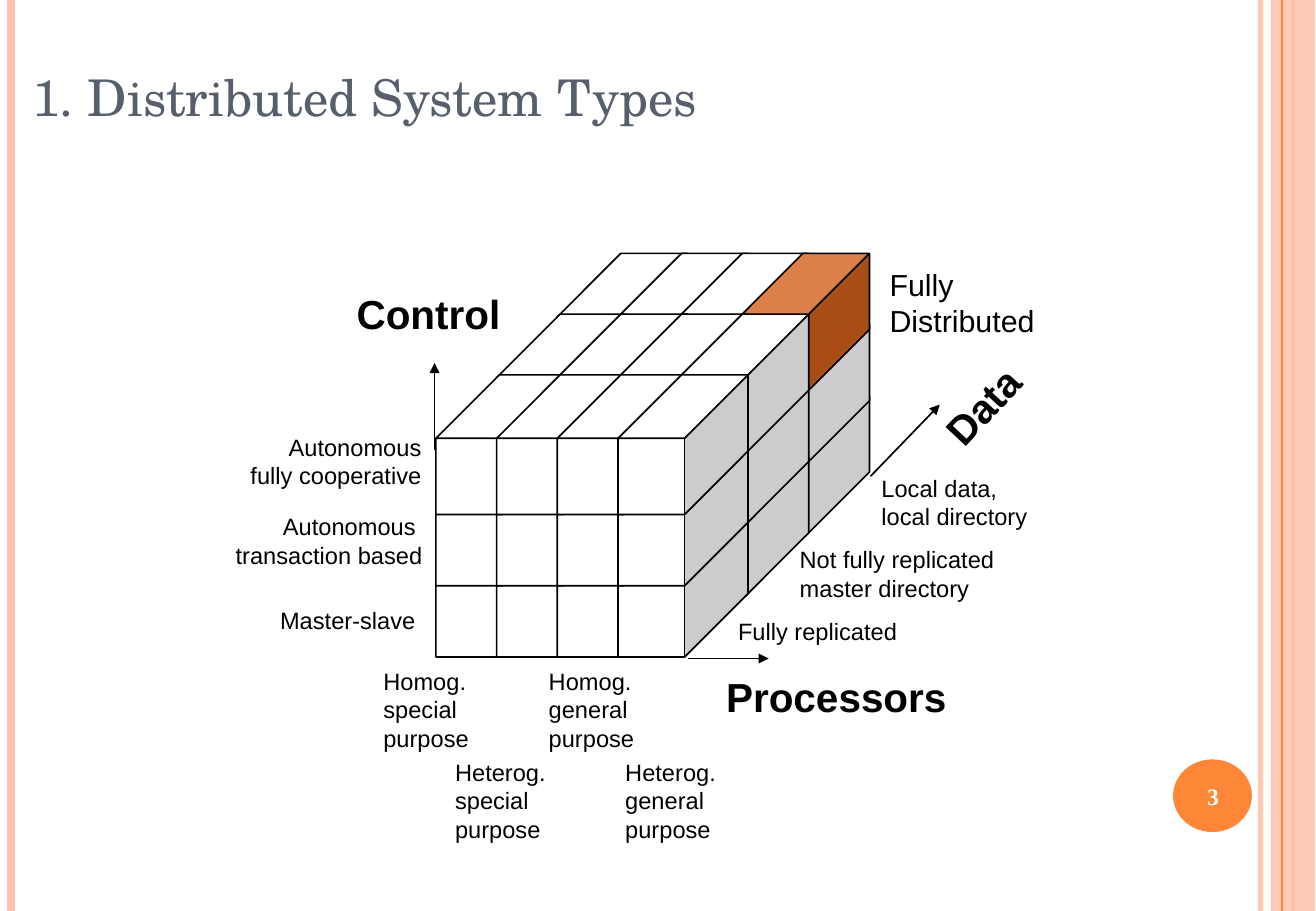
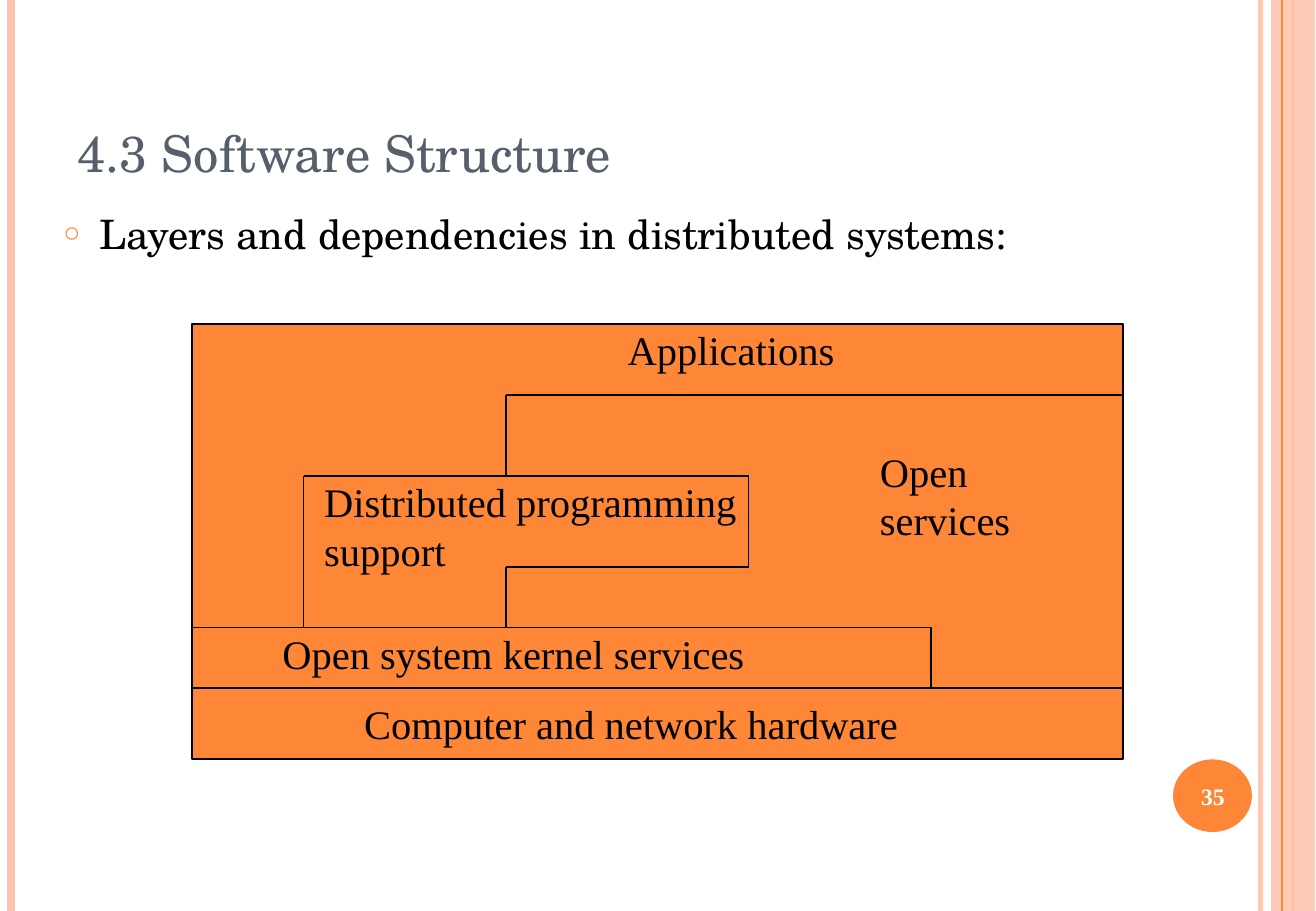
from lxml import etree
from pptx import Presentation
from pptx.dml.color import RGBColor
from pptx.enum.shapes import MSO_CONNECTOR, MSO_SHAPE
from pptx.enum.text import MSO_ANCHOR, MSO_AUTO_SIZE, PP_ALIGN
from pptx.oxml.ns import qn
from pptx.util import Cm, Pt

STRAIGHT = MSO_CONNECTOR.STRAIGHT
RECTANGLE, OVAL, CUBE = MSO_SHAPE.RECTANGLE, MSO_SHAPE.OVAL, MSO_SHAPE.CUBE
LEFT, CENTER, RIGHT = PP_ALIGN.LEFT, PP_ALIGN.CENTER, PP_ALIGN.RIGHT
TOP, MIDDLE, BOTTOM = MSO_ANCHOR.TOP, MSO_ANCHOR.MIDDLE, MSO_ANCHOR.BOTTOM
NO_AUTOFIT = MSO_AUTO_SIZE.NONE

ORANGE = RGBColor(0xFE, 0x86, 0x37)
PEACH = RGBColor(0xFE, 0xC3, 0xAE)
RUST = RGBColor(0xD2, 0x61, 0x1C)
SLATE = RGBColor(0x57, 0x5F, 0x6D)
BLACK = RGBColor(0, 0, 0)
WHITE = RGBColor(0xFF, 0xFF, 0xFF)

SCHOOLBOOK = "TeX Gyre Schola"
SANS = "Arial"
ROMAN = "Times New Roman"
WIDTH, HEIGHT = 27.53, 19.05


def write(box, text, font=SANS, size=14, color=BLACK, bold=False,
          align=LEFT, anchor=TOP, wrap=False):
    frame = box.text_frame
    frame.word_wrap = wrap
    frame.auto_size = NO_AUTOFIT
    frame.vertical_anchor = anchor
    frame.text = text
    for para in frame.paragraphs:
        para.alignment = align
        for span in para.runs:
            span.font.name = font
            span.font.size = Pt(size)
            span.font.bold = bold
            span.font.color.rgb = color


def draw_line(page, start, end, color=BLACK, width=1, arrow=False):
    line = page.shapes.add_connector(STRAIGHT, *map(Cm, start + end))
    line.line.color.rgb = color
    line.line.width = Pt(width)
    if arrow:
        etree.SubElement(line.line._get_or_add_ln(), qn("a:tailEnd"), type="triangle")
    etree.SubElement(line.element.spPr, qn("a:effectLst"))
    return line


deck = Presentation()
deck.slide_width, deck.slide_height = Cm(WIDTH), Cm(HEIGHT)
types_page = deck.slides.add_slide(deck.slide_layouts[5])
structure_page = deck.slides.add_slide(deck.slide_layouts[1])

bands = [
    draw_line(types_page, (x, 0), (x, HEIGHT), color, width)
    for x, color, width in [
        (26.37, PEACH, 3), (0.23, PEACH, 4.5), (27.05, ORANGE, 1.5), (26.82, ORANGE, 0.75)]
]
side_band = types_page.shapes.add_shape(RECTANGLE, Cm(26.59), 0, Cm(0.92), Cm(HEIGHT))
number_disc = types_page.shapes.add_shape(OVAL, Cm(24.54), Cm(15.88), Cm(1.65), Cm(1.52))
for shape, color in [(side_band, PEACH), (number_disc, ORANGE)]:
    shape.shadow.inherit = False
    shape.fill.solid()
    shape.fill.fore_color.rgb = color
    shape.line.fill.background()
for band, opacity in [(bands[0], 93), (side_band, 87)]:
    tint = next(band.element.spPr.iter(qn("a:srgbClr")))
    etree.SubElement(tint, qn("a:alpha"), val=str(opacity * 1000))
for shape in bands[:3] + [side_band, bands[3], number_disc]:
    deck.slide_master.shapes.element.append(shape.element)

for page, title, place, number in [
    (types_page, "1. Distributed System Types", (0.43, 1.07, 26.87, 1.7), "3"),
    (structure_page, "4.3 Software Structure", (1.37, 0.76, 22.48, 3.18), "35"),
]:
    heading = page.shapes.title
    heading.left, heading.top, heading.width, heading.height = map(Cm, place)
    write(heading, title, font=SCHOOLBOOK, size=30, color=SLATE, anchor=BOTTOM, wrap=True)
    number_box = page.shapes.add_textbox(Cm(24.46), Cm(15.93), Cm(1.83), Cm(1.45))
    write(number_box, number, font=ROMAN, color=WHITE, bold=True,
          align=CENTER, anchor=MIDDLE, wrap=True)

for layer in range(3):
    for level in range(3):
        for column in range(4):
            left = 11.66 + 1.27 * (column - layer)
            top = 8.28 + 1.27 * layer - 1.49 * level
            cube = types_page.shapes.add_shape(CUBE, Cm(left), Cm(top), Cm(2.72), Cm(2.92))
            cube.adjustments[0] = 0.488
            cube.shadow.inherit = False
            cube.fill.solid()
            fully_distributed = (layer, level, column) == (0, 2, 3)
            cube.fill.fore_color.rgb = RUST if fully_distributed else WHITE
            cube.line.color.rgb = BLACK
            cube.line.width = Pt(1)

for start, end in [
    ((18.21, 9.96), (19.66, 8.46)),
    ((14.4, 13.77), (16.08, 13.77)),
    ((9.09, 9.42), (9.09, 7.59)),
]:
    draw_line(types_page, start, end, arrow=True)

axis = {"size": 24, "bold": True}
for text, place, turn, style in [
    ("Fully\nDistributed", (18.36, 5.44, 3.53, 1.78), 0, {"size": 18}),
    ("Data", (19.38, 7.85, 2.34, 1.27), 313, axis),
    ("Processors", (14.94, 13.92, 5.11, 1.27), 0, axis),
    ("Control", (7.21, 5.92, 3.51, 1.27), 0, axis),
    ("Fully replicated", (15.19, 12.78, 3.84, 0.84), 0, {}),
    ("Not fully replicated\nmaster directory", (16.48, 11.28, 4.57, 1.42), 0, {}),
    ("Local data,\nlocal directory", (18.19, 9.78, 3.56, 1.42), 0, {}),
    ("Master-slave", (5.61, 12.55, 3.33, 0.84), 0, {}),
    ("Autonomous \ntransaction based", (2.54, 10.59, 6.55, 1.42), 0, {"align": RIGHT}),
    ("Autonomous\nfully cooperative", (4.98, 8.92, 4.09, 1.42), 0, {"align": RIGHT}),
    ("Homog.\nspecial\npurpose", (7.77, 13.82, 2.39, 2.03), 0, {}),
    ("Heterog.\nspecial\npurpose", (9.27, 15.72, 2.41, 2.03), 0, {}),
    ("Homog.\ngeneral\npurpose", (11.23, 13.82, 2.29, 2.03), 0, {}),
    ("Heterog.\ngeneral\npurpose", (12.83, 15.72, 2.41, 2.03), 0, {}),
]:
    box = types_page.shapes.add_textbox(*map(Cm, place))
    box.rotation = turn
    write(box, text, **style)

body = structure_page.placeholders[1]
body.left, body.top, body.width, body.height = map(Cm, (1.07, 4.24, 25.83, 13.34))
write(body, "Layers and dependencies in distributed systems:",
      font=SCHOOLBOOK, size=24, wrap=True)
para = body.text_frame.paragraphs[0]
para.space_before = Pt(6)
bullet = para._p.get_or_add_pPr()
bullet.set("marL", str(Cm(0.76)))
bullet.set("indent", str(-Cm(0.76)))
bullet_color = etree.SubElement(bullet, qn("a:buClr"))
etree.SubElement(bullet_color, qn("a:srgbClr"), val=str(ORANGE))
etree.SubElement(bullet, qn("a:buSzPct"), val="70000")
etree.SubElement(bullet, qn("a:buChar"), char="○")

stack = structure_page.shapes.add_shape(RECTANGLE, Cm(4.02), Cm(6.77), Cm(19.48), Cm(9.11))
stack.shadow.inherit = False
stack.fill.solid()
stack.fill.fore_color.rgb = ORANGE
stack.line.color.rgb = BLACK
stack.line.width = Pt(1)

for border in [
    [(4.02, 14.39), (23.5, 14.39)],
    [(4.02, 13.12), (19.47, 13.12), (19.47, 14.39)],
    [(6.35, 13.12), (6.35, 9.95), (15.66, 9.95), (15.66, 11.85), (10.58, 11.85), (10.58, 13.12)],
    [(10.58, 9.95), (10.58, 8.26), (23.5, 8.26)],
]:
    for start, end in zip(border, border[1:]):
        draw_line(structure_page, start, end)

for text, place in [
    ("Applications", (12.88, 6.68, 4.83, 1.27)),
    ("Distributed programming\nsupport", (6.53, 9.86, 9.14, 2.29)),
    ("Open\nservices", (18.16, 9.22, 3.23, 2.29)),
    ("Open system kernel services", (5.66, 13.03, 10.16, 1.27)),
    ("Computer and network hardware", (7.37, 14.5, 11.66, 1.27)),
]:
    box = structure_page.shapes.add_textbox(*map(Cm, place))
    write(box, text, font=ROMAN, size=24)

deck.save("out.pptx")
